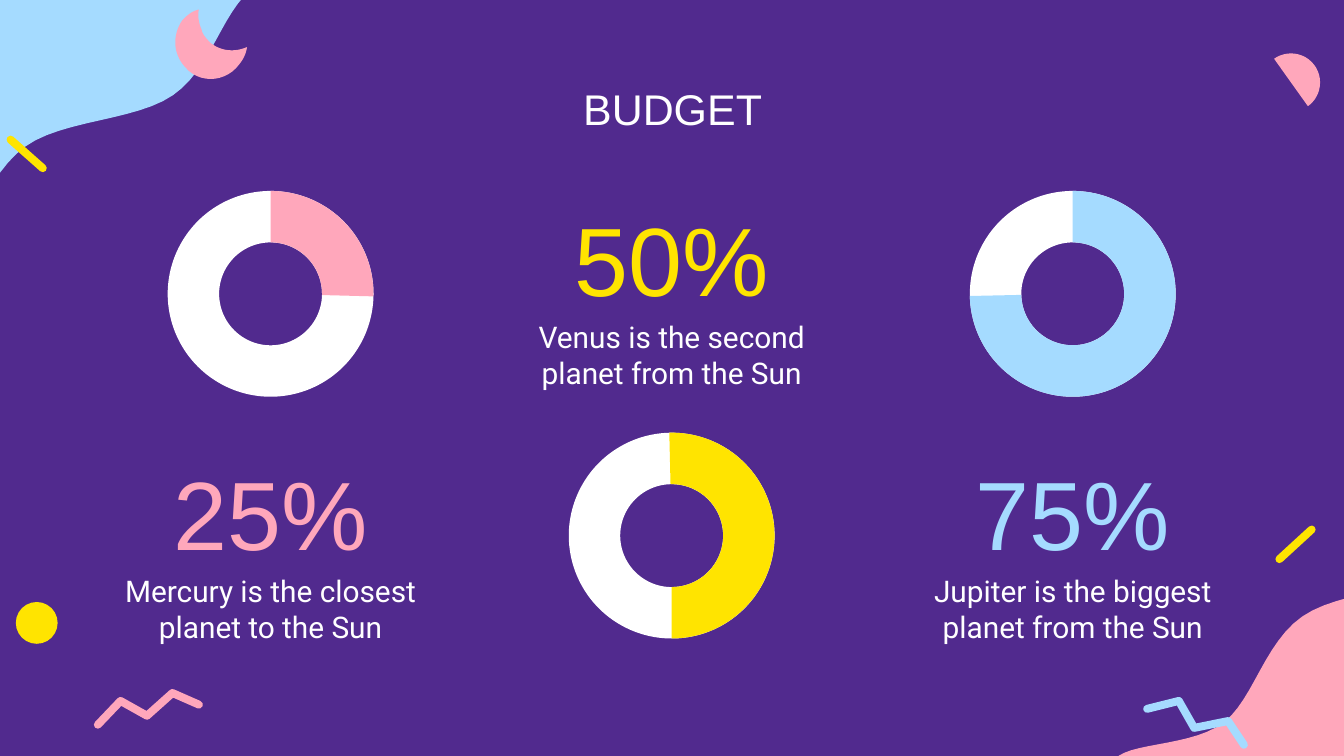
from pptx import Presentation
from pptx.dml.color import RGBColor
from pptx.enum.shapes import MSO_SHAPE as Shape
from pptx.enum.text import MSO_ANCHOR as Anchor, PP_ALIGN as Align
from pptx.oxml.ns import qn
from pptx.util import Cm, Pt

PURPLE, WHITE = "512A8E", "FFFFFF"
PINK, YELLOW, BLUE = "FFA7BB", "FFE400", "A5DBFF"

CURVE_STEPS = 12
COLUMN_LEFT, COLUMN_PITCH, COLUMN_WIDTH = 1.98, 7.58, 6.27
UPPER_TEXT, LOWER_TEXT = 3.61, 8.41
UPPER_RING, LOWER_RING = 3.61, 8.18
RING_SIZE = 3.89

# Curved outlines in cm: a start point, then (control, control, end) triples
BLOB = [
    (0.41, 7.24),
    (0.51, 8.33), (0.99, 7.44), (1.40, 7.06),
    (1.80, 6.68), (2.16, 5.49), (2.87, 4.98),
    (3.58, 4.47), (4.95, 4.50), (5.66, 4.01),
    (6.38, 3.51), (6.58, 2.46), (7.14, 2.01),
    (7.72, 1.57), (8.76, 1.63), (9.14, 1.37),
    (9.50, 1.14), (10.72, 0.74), (9.35, 0.58),
    (7.95, 0.43), (2.31, -0.61), (0.81, 0.51),
    (-0.66, 1.63), (0.30, 6.15), (0.41, 7.24),
]
CRESCENT = [
    (0.08, 0.91),
    (-0.03, 0.69), (0, 0.41), (0.15, 0.20),
    (0.25, 0.10), (0.33, 0.03), (0.46, 0),
    (0.43, 0.13), (0.46, 0.25), (0.51, 0.38),
    (0.53, 0.48), (0.61, 0.56), (0.69, 0.64),
    (0.89, 0.79), (1.14, 0.81), (1.37, 0.71),
    (1.35, 0.84), (1.30, 0.94), (1.22, 1.04),
    (0.99, 1.35), (0.56, 1.40), (0.28, 1.17),
    (0.20, 1.09), (0.13, 1.02), (0.08, 0.91),
]

# Rounded strokes in cm
STROKES = [
    (BLUE, [(21.68, 13.40), (22.28, 13.25), (22.57, 13.76), (23.21, 13.63), (23.51, 14.08)]),
    (PINK, [(1.85, 13.70), (2.28, 13.25), (2.78, 13.53), (3.26, 13.10), (3.76, 13.32)]),
    (YELLOW, [(0.20, 2.64), (0.81, 3.18)]),
    (YELLOW, [(24.18, 10.57), (24.79, 10.01)]),
]

# Percentage, caption, colour, text top, ring top, arc start and end in degrees
BUDGET_ITEMS = [
    ("25%", "Mercury is the closest planet to the Sun", PINK, LOWER_TEXT, UPPER_RING, 270, 1.4),
    ("50%", "Venus is the second planet from the Sun", YELLOW, UPPER_TEXT, LOWER_RING, 268.7, 90),
    ("75%", "Jupiter is the biggest planet from the Sun", BLUE, LOWER_TEXT, UPPER_RING, 270, 178.8),
]


def color(hex_value):
    return RGBColor.from_string(hex_value)


def paint(shape, hex_value):
    shape.shadow.inherit = False
    shape.fill.solid()
    shape.fill.fore_color.rgb = color(hex_value)
    shape.line.fill.background()


def add_preset(slide, kind, box, hex_value, adjustments=()):
    shape = slide.shapes.add_shape(kind, *map(Cm, box))
    for index, value in enumerate(adjustments):
        shape.adjustments[index] = value
    paint(shape, hex_value)


def arc_angle(degrees):
    """Angles are stored in 1/60000 degree, adjustments in 1/100000."""
    return degrees * 0.6


def add_outline(slide, points, left, top, close):
    start, *rest = [(Cm(x), Cm(y)) for x, y in points]
    builder = slide.shapes.build_freeform(*start)
    builder.add_line_segments(rest, close=close)
    return builder.convert_to_shape(Cm(left), Cm(top))


def flatten_curves(points):
    flat = [points[0]]
    for index in range(0, len(points) - 1, 3):
        segment = points[index:index + 4]
        for step in range(1, CURVE_STEPS + 1):
            t = step / CURVE_STEPS
            weights = ((1 - t) ** 3, 3 * t * (1 - t) ** 2, 3 * t ** 2 * (1 - t), t ** 3)
            flat.append(tuple(sum(w * point[axis] for w, point in zip(weights, segment))
                              for axis in (0, 1)))
    return flat


def add_curved(slide, points, left, top, hex_value, rotation=0):
    shape = add_outline(slide, flatten_curves(points), left, top, close=True)
    shape.rotation = rotation
    paint(shape, hex_value)


def add_stroke(slide, points, hex_value):
    shape = add_outline(slide, points, 0, 0, close=False)
    shape.shadow.inherit = False
    shape.fill.background()
    shape.line.color.rgb = color(hex_value)
    shape.line.width = Pt(4.25)
    line = shape.element.spPr.find(qn("a:ln"))
    line.set("cap", "rnd")
    line.append(line.makeelement(qn("a:round"), {}))


def add_text(slide, text, box, hex_value, **font_format):
    frame = slide.shapes.add_textbox(*map(Cm, box)).text_frame
    frame_format = {"word_wrap": True, "vertical_anchor": Anchor.MIDDLE}
    margins = ("margin_left", "margin_top", "margin_right", "margin_bottom")
    frame_format.update(dict.fromkeys(margins, Cm(0.25)))
    for name, value in frame_format.items():
        setattr(frame, name, value)
    paragraph = frame.paragraphs[0]
    paragraph.alignment = Align.CENTER
    run = paragraph.add_run()
    run.text = text
    for name, value in font_format.items():
        setattr(run.font, name, value)
    run.font.color.rgb = color(hex_value)


def add_decoration(slide):
    # Corner blobs, the second one turned half round
    add_curved(slide, BLOB, -2.39, -2.21, BLUE)
    add_curved(slide, BLOB, 20.29, 7.90, PINK, rotation=180)
    # Small shapes
    add_preset(slide, Shape.OVAL, (0.30, 11.38, 0.79, 0.79), YELLOW)
    add_preset(slide, Shape.CHORD, (23.85, 1.01, 1.10, 1.10), PINK,
               (arc_angle(234.5), arc_angle(54.5)))
    add_curved(slide, CRESCENT, 3.30, 0.18, PINK)
    # Bars and zigzags
    for hex_value, points in STROKES:
        add_stroke(slide, points, hex_value)


def add_figure(slide, percentage, caption, hex_value, left, top):
    add_text(slide, percentage, (left, top, COLUMN_WIDTH, 2.51), hex_value,
             name="Arial", size=Pt(52))
    add_text(slide, caption, (left, top + 2.54, COLUMN_WIDTH, 1.12), WHITE,
             name="Roboto", size=Pt(16))


def add_ring(slide, box, hex_value, start, end):
    add_preset(slide, Shape.DONUT, box, WHITE, (0.25,))
    add_preset(slide, Shape.BLOCK_ARC, box, hex_value,
               (arc_angle(start), arc_angle(end), 0.25))


def main():
    presentation = Presentation()
    presentation.slide_width = Cm(25.4)
    presentation.slide_height = Cm(14.29)
    slide = presentation.slides.add_slide(presentation.slide_layouts[6])
    slide.background.fill.solid()
    slide.background.fill.fore_color.rgb = color(PURPLE)

    add_decoration(slide)

    # One column for each budget item
    for index, item in enumerate(BUDGET_ITEMS):
        percentage, caption, hex_value, text_top, ring_top, start, end = item
        left = COLUMN_LEFT + index * COLUMN_PITCH
        add_figure(slide, percentage, caption, hex_value, left, text_top)
        ring_left = left + (COLUMN_WIDTH - RING_SIZE) / 2
        add_ring(slide, (ring_left, ring_top, RING_SIZE, RING_SIZE), hex_value, start, end)

    # Title
    add_text(slide, "BUDGET", (2.01, 1.24, 21.41, 1.60), WHITE, name="Arial", size=Pt(23))

    presentation.save("out.pptx")


if __name__ == "__main__":
    main()
